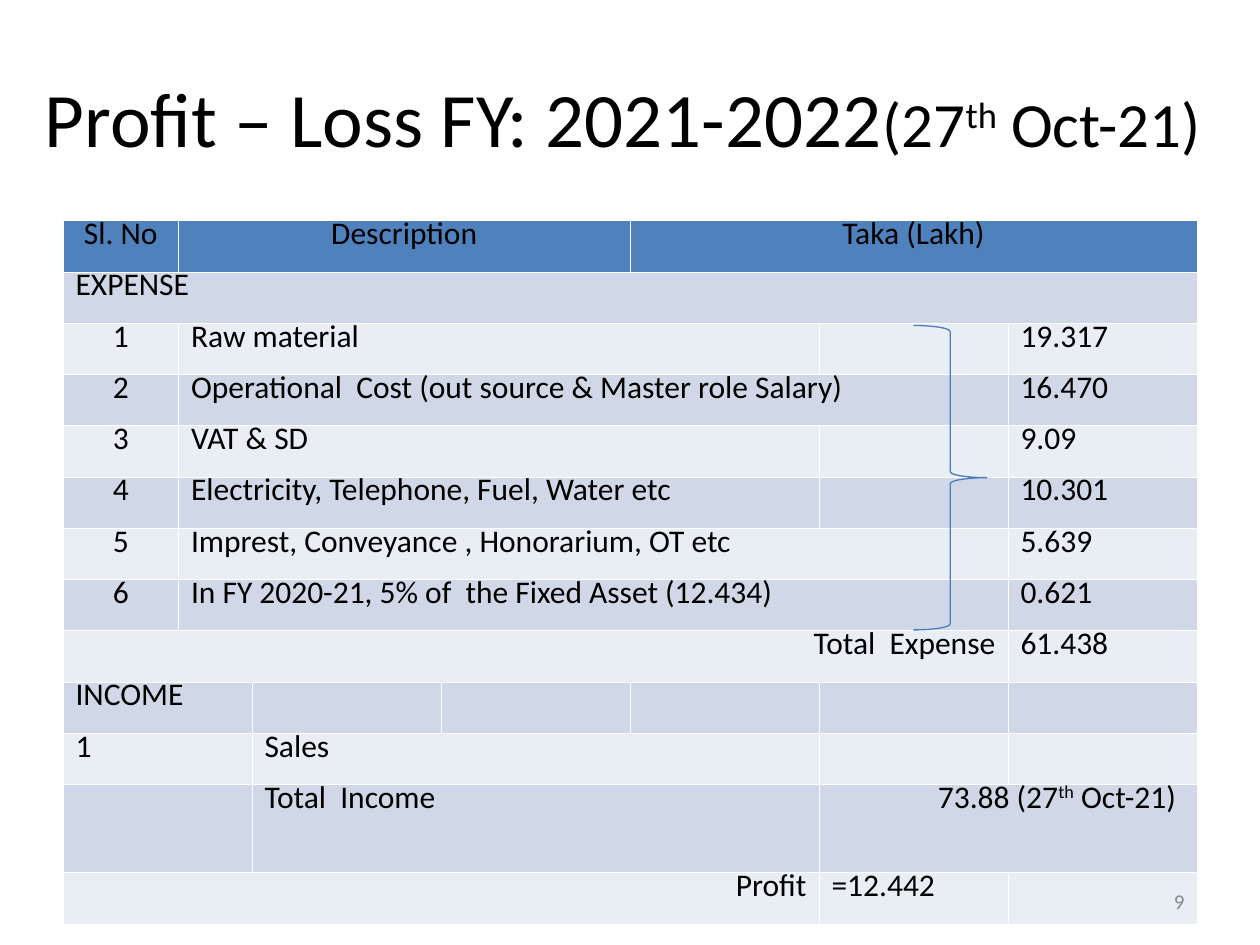
from lxml import etree
from pptx import Presentation
from pptx.dml.color import RGBColor
from pptx.enum import shapes, text
from pptx.oxml import ns
from pptx.util import Pt

BLACK = RGBColor(0x00, 0x00, 0x00)
GREY = RGBColor(0x89, 0x89, 0x89)
HEADER_BLUE = RGBColor(0x4F, 0x81, 0xBD)
BRACE_BLUE = RGBColor(0x4A, 0x7E, 0xBB)
DARK_BAND = RGBColor(0xD0, 0xD8, 0xE8)
LIGHT_BAND = RGBColor(0xE9, 0xED, 0xF4)
LEFT, CENTER, RIGHT = text.PP_ALIGN.LEFT, text.PP_ALIGN.CENTER, text.PP_ALIGN.RIGHT


def write(paragraph, parts, align, color=BLACK):
    """Add (wording, size) parts to a paragraph; "th" is raised."""
    paragraph.alignment = align
    for wording, size in parts:
        run = paragraph.add_run()
        run.text = wording
        for name, value in {"name": "Calibri", "size": Pt(size)}.items():
            setattr(run.font, name, value)
        run.font.color.rgb = color
        if wording == "th":
            run._r.get_or_add_rPr().set("baseline", "30000")


def add_label(left, top, width, height, parts, align, color=BLACK):
    frame = slide.shapes.add_textbox(Pt(left), Pt(top), Pt(width), Pt(height)).text_frame
    for name, value in {"word_wrap": True, "vertical_anchor": text.MSO_ANCHOR.MIDDLE}.items():
        setattr(frame, name, value)
    write(frame.paragraphs[0], parts, align, color)


deck = Presentation()
deck.slide_width, deck.slide_height = Pt(720), Pt(540)
slide = deck.slides.add_slide(deck.slide_layouts[6])

# Title
add_label(18, 21.6, 684, 90,
          [("Profit – Loss FY: 2021-2022", 44), ("(27", 36), ("th", 36), (" Oct-21) ", 36)],
          CENTER)

# Statement rows: (first column, columns spanned, wording, alignment)
expenses = [
    ("Raw material", 4, "19.317"),
    ("Operational  Cost (out source & Master role Salary)", 5, "16.470"),
    ("VAT & SD", 4, "9.09"),
    ("Electricity, Telephone, Fuel, Water etc", 4, "10.301"),
    ("Imprest, Conveyance , Honorarium, OT etc", 5, "5.639"),
    ("In FY 2020-21, 5% of  the Fixed Asset (12.434)", 5, "0.621"),
]
statement = [
    [(0, 1, "Sl. No", CENTER), (1, 3, "Description", CENTER), (4, 3, "Taka (Lakh)", CENTER)],
    [(0, 7, "EXPENSE", LEFT)],
]
for number, (item, span, amount) in enumerate(expenses, 1):
    statement.append([(0, 1, str(number), CENTER), (1, span, item, LEFT), (6, 1, amount, LEFT)])
statement += [
    [(0, 6, "Total  Expense", RIGHT), (6, 1, "61.438", LEFT)],
    [(0, 2, "INCOME", LEFT)],
    [(0, 2, "1", LEFT), (2, 3, "Sales", LEFT)],
    [(0, 2, "", LEFT), (2, 3, "Total  Income", LEFT), (5, 2, "73.88 (27|th| Oct-21)", LEFT)],
    [(0, 5, "Profit", RIGHT), (5, 1, "=12.442", LEFT)],
]
total_income_row = len(statement) - 2

# Table grid
column_widths = [66, 42] + [108] * 5
row_heights = [29.3] * len(statement)
row_heights[total_income_row] = 50.4
table = slide.shapes.add_table(len(statement), len(column_widths), Pt(36), Pt(126),
                               Pt(sum(column_widths)), Pt(sum(row_heights))).table
for column, width in zip(table.columns, column_widths):
    column.width = Pt(width)
for row, height in zip(table.rows, row_heights):
    row.height = Pt(height)

# Bands, thin white borders and line spacing
for r, row in enumerate(table.rows):
    band = HEADER_BLUE if r == 0 else DARK_BAND if r % 2 else LIGHT_BAND
    for cell in row.cells:
        properties = cell._tc.get_or_add_tcPr()
        for side in ("a:lnL", "a:lnR", "a:lnT", "a:lnB"):
            border = etree.SubElement(properties, ns.qn(side), w=str(Pt(0.06)))
            white = etree.SubElement(border, ns.qn("a:solidFill"))
            etree.SubElement(white, ns.qn("a:srgbClr"), val="FFFFFF")
        cell.fill.solid()
        cell.fill.fore_color.rgb = band
        cell.text_frame.paragraphs[0].line_spacing = 0.58

# Wording
for r, entries in enumerate(statement):
    for first, span, wording, align in entries:
        cell = table.cell(r, first)
        if span > 1:
            cell.merge(table.cell(r, first + span - 1))
        if wording:
            write(cell.text_frame.paragraphs[0],
                  [(part, 18) for part in wording.split("|")], align)
table.cell(total_income_row, 5).margin_left = Pt(68)

# Slide number
add_label(516, 500.4, 168, 28.8, [("9", 12)], RIGHT, GREY)

# Brace gathering the expenses
brace = slide.shapes.add_shape(shapes.MSO_SHAPE.RIGHT_BRACE, Pt(522), Pt(186), Pt(42), Pt(174))
brace.shadow.inherit = False
brace.fill.background()
brace.line.color.rgb = BRACE_BLUE
brace.line.width = Pt(0.75)

deck.save("out.pptx")
